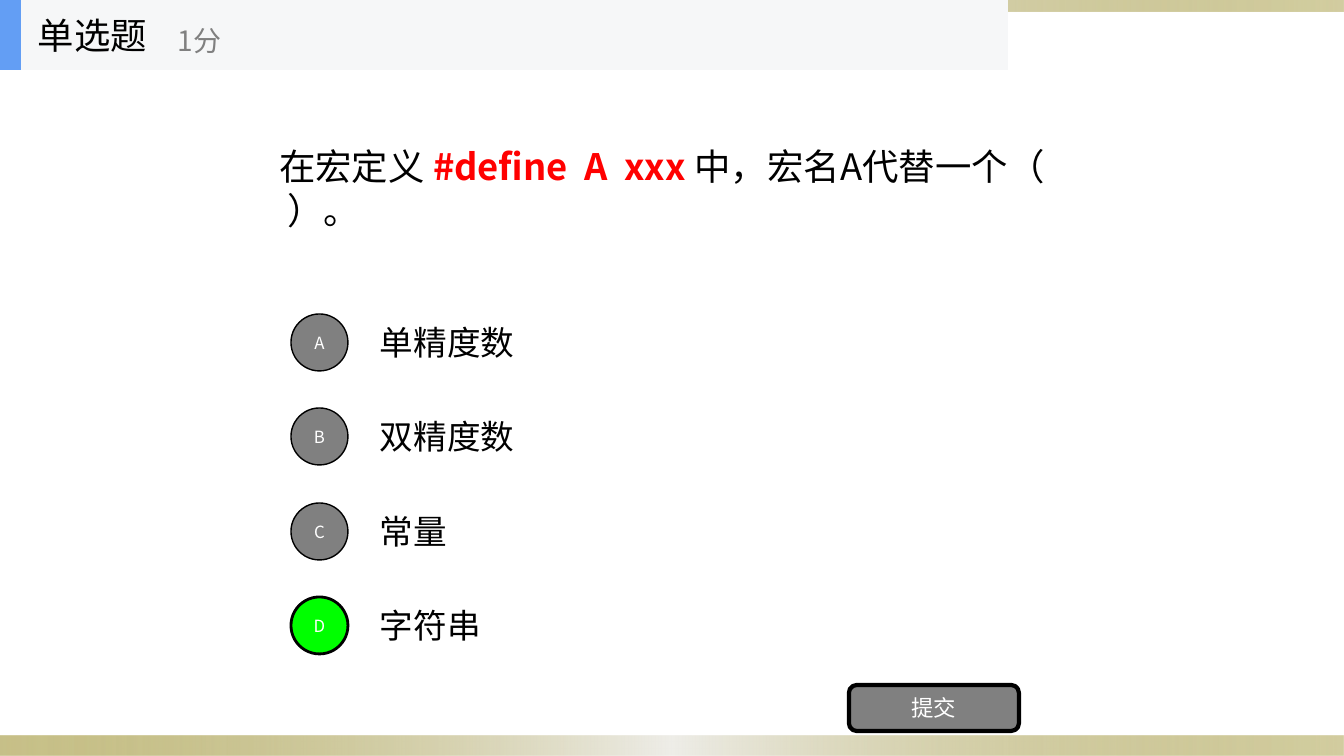
import pptx
import pptx.util
import pptx.dml.color
import pptx.enum.shapes
import pptx.enum.text
import pptx.oxml
import pptx.oxml.ns

FONT = "Noto Sans CJK SC"
UNIT = 12192000 / 1344
KIND = pptx.enum.shapes.MSO_SHAPE
ALIGN = pptx.enum.text.PP_ALIGN


def px(n):
    """Turn px into EMU."""
    return pptx.util.Emu(round(n * UNIT))


def rgb(code):
    """Turn a hex string into a colour."""
    return pptx.dml.color.RGBColor.from_string(code)


def style(run, size, color, bold=False):
    """Set the font of a run for Latin and Chinese text."""
    font = run.font
    font.name, font.size, font.bold = FONT, pptx.util.Pt(size), bold
    font.color.rgb = rgb(color)
    east = pptx.oxml.parse_xml(
        f'<a:ea {pptx.oxml.ns.nsdecls("a")} typeface="{FONT}"/>')
    font._element.find(pptx.oxml.ns.qn("a:latin")).addnext(east)


def write(shape, parts, size, align=ALIGN.LEFT):
    """Fill a shape with one paragraph of (text, colour, bold) parts."""
    frame = shape.text_frame
    frame.word_wrap = True
    frame.auto_size = pptx.enum.text.MSO_AUTO_SIZE.NONE
    frame.vertical_anchor = pptx.enum.text.MSO_ANCHOR.MIDDLE
    para = frame.paragraphs[0]
    para.alignment = align
    for text, color, bold in parts:
        run = para.add_run()
        run.text = text
        style(run, size, color, bold)


def label(slide, box, text, size, color="000000"):
    """Add a text box with one line."""
    shape = slide.shapes.add_textbox(*map(px, box))
    write(shape, [(text, color, False)], size)


def block(slide, kind, box, fill, line=0):
    """Add a filled shape with an optional black outline."""
    shape = slide.shapes.add_shape(kind, *map(px, box))
    shape.shadow.inherit = False
    shape.fill.solid()
    shape.fill.fore_color.rgb = rgb(fill)
    if line:
        shape.line.color.rgb = rgb("000000")
        shape.line.width = pptx.util.Pt(line)
    else:
        shape.line.fill.background()
    return shape


def band(slide, box):
    """Add a gold band that fades to grey in the middle."""
    shape = block(slide, KIND.RECTANGLE, box, "EEEDE8")
    shape.fill.gradient()
    shape.fill.gradient_angle = 0
    stops = shape._element.spPr.find(".//" + pptx.oxml.ns.qn("a:gsLst"))
    for old in list(stops):
        stops.remove(old)
    for pos, color, alpha in ((0, "918415", 50), (50, "EEEDE8", 100),
                              (100, "918415", 40)):
        stops.append(pptx.oxml.parse_xml(
            f'<a:gs {pptx.oxml.ns.nsdecls("a")} pos="{pos * 1000}">'
            f'<a:srgbClr val="{color}"><a:alpha val="{alpha * 1000}"/>'
            f'</a:srgbClr></a:gs>'))


def header(slide, x, y, w, h):
    """Draw the bar with the question type and its score."""
    block(slide, KIND.RECTANGLE, (x, y, w, h), "F6F7F8")
    block(slide, KIND.RECTANGLE, (x, y, 21, h), "639EF4")
    label(slide, (x + 28, y, 210, h), "单选题", 26)
    label(slide, (x + 168, y + 12, 252, h - 14), "1分", 20, "808080")


def question(slide, box):
    """Place the question in the title."""
    title = slide.shapes.title
    title.left, title.top, title.width, title.height = map(px, box)
    write(title, [("在宏定义 ", "000000", False),
                  ("#define  A  xxx ", "FF0000", True),
                  ("中，宏名A代替一个（    ）。", "000000", False)], 26)


def choices(slide, x, y, w, h):
    """Stack the lettered answers evenly, with the right one in green."""
    answers = ("单精度数", "双精度数", "常量", "字符串")
    for i, (mark, text) in enumerate(zip("ABCD", answers)):
        top = y + i * h // len(answers)
        right = mark == "D"
        label(slide, (x + 79, top, w - 79, 70), text, 24)
        dot = block(slide, KIND.OVAL, (x, top + 7, 57, 57),
                    "00FF00" if right else "808080", 2 if right else 1)
        write(dot, [(mark, "FFFFFF", False)], 12, ALIGN.CENTER)


def button(slide, box):
    """Draw the submit button."""
    shape = block(slide, KIND.ROUNDED_RECTANGLE, box, "808080", 3)
    write(shape, [("提交", "FFFFFF", False)], 16, ALIGN.CENTER)


def main():
    """Build and save the quiz slide."""
    deck = pptx.Presentation()
    deck.slide_width, deck.slide_height = px(1344), px(756)
    slide = deck.slides.add_slide(deck.slide_layouts[5])
    band(slide, (0, 736, 1344, 20))
    band(slide, (0, 0, 1344, 12))
    question(slide, (269, 70, 806, 236))
    choices(slide, 291, 307, 785, 378)
    button(slide, (849, 685, 170, 46))
    header(slide, 0, 0, 1008, 70)
    deck.save("out.pptx")


if __name__ == "__main__":
    main()
